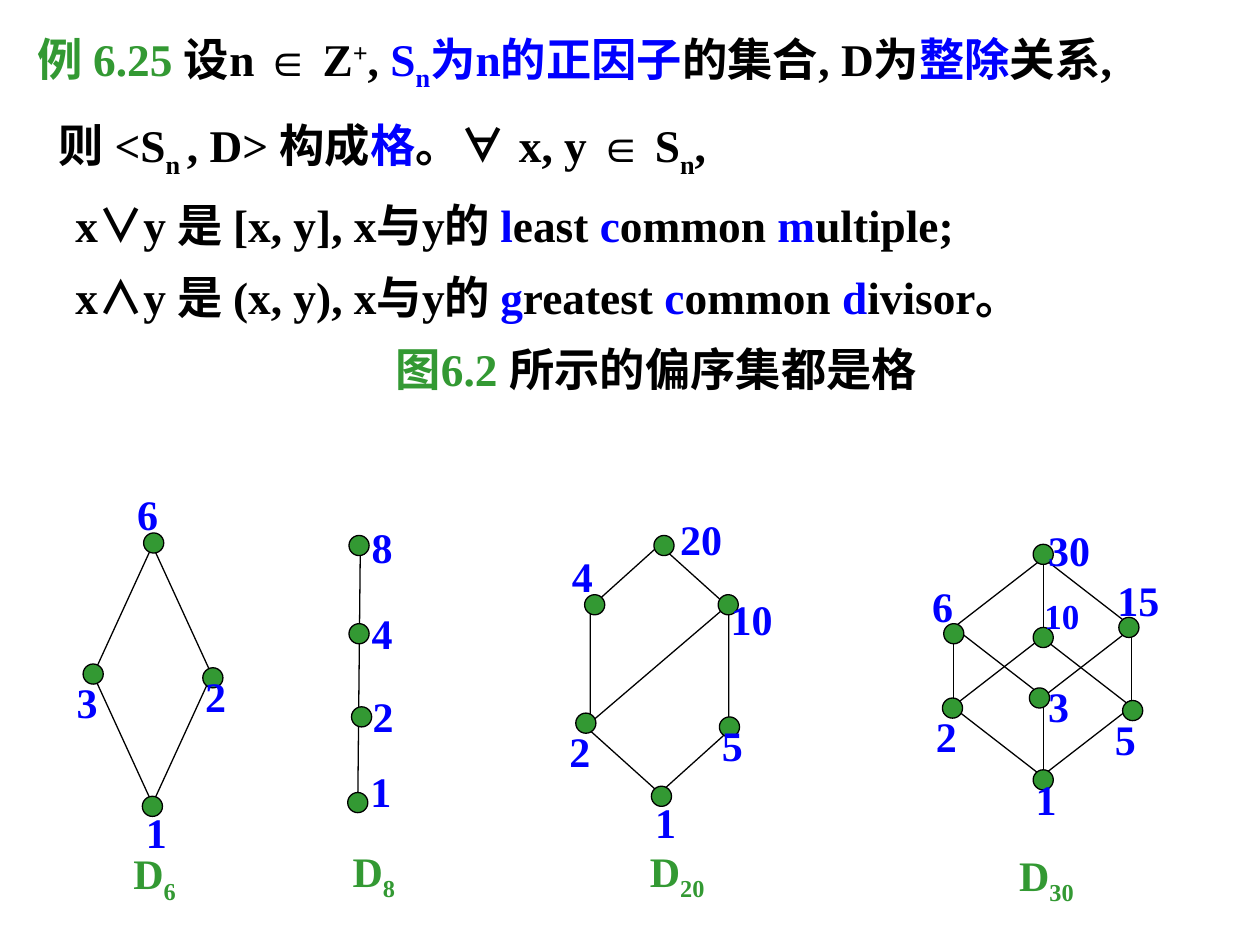
import pptx
import pptx.dml.color
import pptx.enum.shapes
import pptx.enum.text
import pptx.oxml.ns
import pptx.util
from lxml import etree

PX = 9144  # 100 px to the inch
GREEN, BLUE, BLACK = "339933", "0000FF", "000000"
SERIF, SANS, CJK = "Times New Roman", "Arial", "Noto Sans CJK SC"
SUPER, SUB = 30, -25
NODE = 16
SHAPES = pptx.enum.shapes.MSO_SHAPE

# Each paragraph: first-line offset from the hanging margin, line spacing, centred, runs.
# Each run: text, colour, then font and baseline where they differ from the usual.
PARAGRAPHS = [
    (-30, 1.2, False, [
        ("例 6.25 ", GREEN), ("设n ", BLACK), ("∈", BLACK, SANS), (" Z", BLACK),
        ("+", BLACK, SERIF, SUPER), (", ", BLACK), ("S", BLUE),
        ("n", BLUE, SERIF, SUB), ("为n的正因子", BLUE), ("的集合, D为", BLACK),
        ("整除", BLUE), ("关系,", BLACK)]),
    (-13, 1.2, False, [
        ("则 <S", BLACK), ("n ", BLACK, SERIF, SUB), (", D> 构成", BLACK),
        ("格", BLUE), ("。", BLACK), ("∀ ", BLACK, SANS), ("x, y ", BLACK),
        ("∈", BLACK, SANS), (" S", BLACK), ("n", BLACK, SERIF, SUB), (",", BLACK)]),
    (0, 1.1, False, [
        ("x", BLACK), ("∨", BLACK, CJK), ("y 是 [x, y], x与y的 ", BLACK),
        ("l", BLUE), ("east ", BLACK), ("c", BLUE), ("ommon ", BLACK),
        ("m", BLUE), ("ultiple;", BLACK)]),
    (0, 1.1, False, [
        ("x", BLACK), ("∧", BLACK, CJK), ("y 是 (x, y), x与y的 ", BLACK),
        ("g", BLUE), ("reatest ", BLACK), ("c", BLUE), ("ommon ", BLACK),
        ("d", BLUE), ("ivisor。", BLACK)]),
    (0, 1.1, True, [("图6.2 ", GREEN), ("所示的偏序集都是格", BLACK)]),
]

# Outlines: preset, left, top, width, height, rotation. Lines: x1, y1, x2, y2.
# Nodes: number, node left and top, label left and top, label size if not 24.
DIAGRAMS = [
    dict(order="6", origin=(51, 383), caption=(45, 285),
         outlines=[(SHAPES.DIAMOND, 23, 50, 94, 205, 0)], lines=[],
         nodes=[("6", 63, 40, 48, 0), ("3", 15, 144, 0, 149),
                ("2", 110, 147, 102, 144), ("1", 62, 249, 55, 252)]),
    dict(order="8", origin=(270, 409), caption=(0, 257),
         outlines=[], lines=[(16, 23, 14, 226)],
         nodes=[("8", 7, 16, 15, 0), ("4", 7, 86, 15, 68),
                ("2", 9, 152, 16, 134), ("1", 6, 220, 14, 194)]),
    dict(order="20", origin=(442, 403), caption=(64, 263),
         outlines=[(SHAPES.HEXAGON, -17, 73, 197, 110, 270)],
         lines=[(26, 171, 136, 77)],
         nodes=[("20", 77, 22, 88, 0), ("4", 22, 69, 2, 29),
                ("10", 128, 69, 128, 63), ("2", 15, 163, 0, 168),
                ("5", 129, 166, 121, 163), ("1", 75, 221, 68, 224)]),
    dict(order="30", origin=(730, 411), caption=(69, 258),
         outlines=[(SHAPES.DIAMOND, 26, 95, 142, 110, 0),
                   (SHAPES.DIAMOND, 27, 32, 142, 110, 0)],
         lines=[(x, y, x, y + 63) for x, y in
                [(27, 87), (168, 87), (98, 32), (98, 143)]],
         nodes=[("30", 90, 21, 92, 0), ("6", 19, 84, 0, 45),
                ("10", 90, 87, 89, 56, 20), ("15", 158, 79, 147, 40),
                ("2", 18, 143, 3, 148), ("3", 87, 135, 92, 124),
                ("5", 161, 145, 145, 150), ("1", 90, 200, 82, 198)]),
]


def px(*lengths):
    return [pptx.util.Emu(round(length * PX)) for length in lengths]


def color(hex_string):
    return pptx.dml.color.RGBColor.from_string(hex_string)


def add_run(paragraph, size, text, hex_string, font=SERIF, baseline=0):
    run = paragraph.add_run()
    run.text = text
    run.font.name = font
    run.font.size = pptx.util.Pt(size)
    run.font.bold = True
    run.font.color.rgb = color(hex_string)
    properties = run._r.get_or_add_rPr()
    east_asian = etree.SubElement(properties, pptx.oxml.ns.qn("a:ea"))
    east_asian.set("typeface", CJK if font == SERIF else font)
    if baseline:
        properties.set("baseline", str(baseline * 1000))


def add_statement(slide, left, top, width, height):
    """Place the example's text, with hanging first lines."""
    frame = slide.shapes.add_textbox(*px(left, top, width, height)).text_frame
    frame.word_wrap = True
    for index, (offset, spacing, centred, runs) in enumerate(PARAGRAPHS):
        paragraph = frame.add_paragraph() if index else frame.paragraphs[0]
        paragraph.line_spacing = spacing
        paragraph.space_before = pptx.util.Pt(7 if index else 0)
        if centred:
            paragraph.alignment = pptx.enum.text.PP_ALIGN.CENTER
        margin, indent = px(38, offset)
        properties = paragraph._p.get_or_add_pPr()
        properties.set("marL", str(margin))
        properties.set("indent", str(indent))
        for run in runs:
            add_run(paragraph, 25.9, *run)


def add_label(slide, left, top, width, height, size, runs):
    """Place one unwrapped line whose box grows to fit it."""
    frame = slide.shapes.add_textbox(*px(left, top, width, height)).text_frame
    frame.word_wrap = False
    frame.auto_size = pptx.enum.text.MSO_AUTO_SIZE.SHAPE_TO_FIT_TEXT
    for run in runs:
        add_run(frame.paragraphs[0], size, *run)


def add_outlined_shape(slide, preset, left, top, width, height, fill=None):
    shape = slide.shapes.add_shape(preset, *px(left, top, width, height))
    shape.shadow.inherit = False
    shape.line.color.rgb = color(BLACK)
    shape.line.width = pptx.util.Pt(0.75)
    if fill:
        shape.fill.solid()
        shape.fill.fore_color.rgb = color(fill)
    else:
        shape.fill.background()
    return shape


def add_edge(slide, x1, y1, x2, y2):
    edge = slide.shapes.add_connector(
        pptx.enum.shapes.MSO_CONNECTOR.STRAIGHT, *px(x1, y1, x2, y2))
    edge.line.color.rgb = color(BLACK)
    edge.line.width = pptx.util.Pt(0.75)
    etree.SubElement(edge._element.spPr, pptx.oxml.ns.qn("a:effectLst"))


def add_hasse_diagram(slide, left, top, order, caption, outlines, lines, nodes):
    """Draw edges, then nodes with numbers, then the D caption, from one corner."""
    for preset, x, y, width, height, rotation in outlines:
        shape = add_outlined_shape(slide, preset, left + x, top + y, width, height)
        shape.rotation = rotation
        if preset == SHAPES.HEXAGON:
            shape.adjustments[0] = 0.45
    for x1, y1, x2, y2 in lines:
        add_edge(slide, left + x1, top + y1, left + x2, top + y2)
    for number, x, y, label_x, label_y, *custom_size in nodes:
        size = custom_size[0] if custom_size else 24
        add_outlined_shape(slide, SHAPES.OVAL, left + x, top + y, NODE, NODE, GREEN)
        add_label(slide, left + label_x, top + label_y,
                  20 + 0.69 * size * len(number), 14 + 1.5 * size,
                  size, [(number, BLUE)])
    add_label(slide, left + caption[0], top + caption[1], 44 + 10 * len(order), 56,
              24, [("D", GREEN), (order, GREEN, SERIF, SUB)])


def main():
    presentation = pptx.Presentation()
    presentation.slide_width, presentation.slide_height = px(1000, 750)
    slide = presentation.slides.add_slide(presentation.slide_layouts[6])
    add_statement(slide, 12, 10, 980, 373)
    for diagram in DIAGRAMS:
        parts = dict(diagram)
        add_hasse_diagram(slide, *parts.pop("origin"), **parts)
    presentation.save("out.pptx")


if __name__ == "__main__":
    main()
